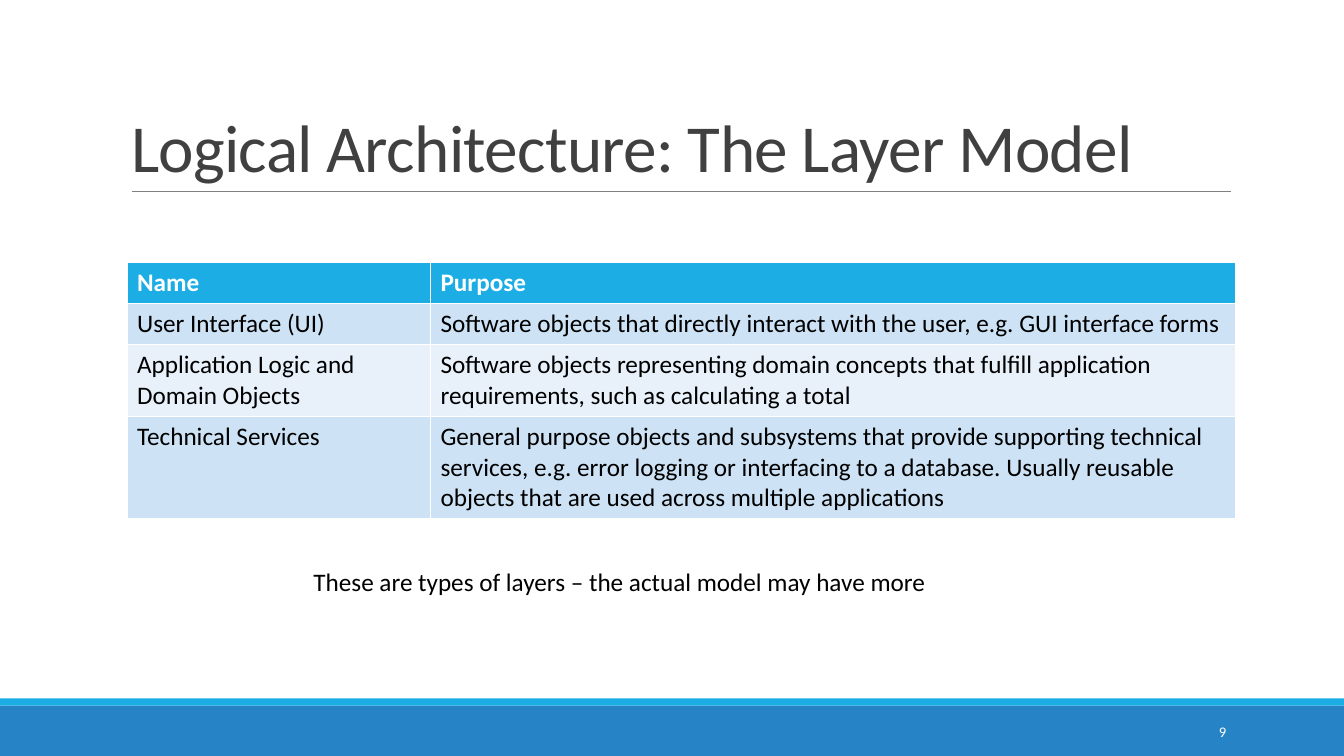
from lxml.etree import SubElement
from pptx import Presentation
from pptx.dml.color import RGBColor
from pptx.enum.shapes import MSO_CONNECTOR, MSO_SHAPE
from pptx.enum.text import MSO_ANCHOR, MSO_AUTO_SIZE, PP_ALIGN
from pptx.oxml.ns import qn
from pptx.util import Inches, Pt

WHITE = RGBColor(0xFF, 0xFF, 0xFF)
BLACK = RGBColor(0, 0, 0)
CHARCOAL = RGBColor(0x40, 0x40, 0x40)
GREY = RGBColor(0x80, 0x80, 0x80)
BLUE = RGBColor(0x26, 0x83, 0xC6)
CYAN = RGBColor(0x1C, 0xAD, 0xE4)
BAND_DARK = RGBColor(0xCD, 0xE3, 0xF5)
BAND_LIGHT = RGBColor(0xE8, 0xF1, 0xFA)

WIDTH, HEIGHT = 13.33, 7.5


def write(frame, text, size=18, color=BLACK, bold=False, align=PP_ALIGN.LEFT,
          anchor=MSO_ANCHOR.TOP, wrap=True):
    frame.word_wrap = wrap
    frame.vertical_anchor = anchor
    paragraph = frame.paragraphs[0]
    paragraph.alignment = align
    run = paragraph.add_run()
    run.text = text
    run.font.name = "Calibri"
    run.font.size = Pt(size)
    run.font.bold = bold
    run.font.color.rgb = color
    return run


prs = Presentation()
prs.slide_width, prs.slide_height = Inches(WIDTH), Inches(HEIGHT)
slide = prs.slides.add_slide(prs.slide_layouts[5])
shapes = slide.shapes

# Footer bands
for top, height, color in [(7, 0.5, BLUE), (6.93, 0.07, CYAN)]:
    band = shapes.add_shape(MSO_SHAPE.RECTANGLE, 0, Inches(top),
                            Inches(WIDTH), Inches(height))
    band.shadow.inherit = False
    band.fill.solid()
    band.fill.fore_color.rgb = color
    band.line.fill.background()

# Title with its rule
title = shapes.title
title.left, title.top = Inches(1.2), Inches(0.31)
title.width, title.height = Inches(11), Inches(1.59)
heading = write(title.text_frame, "Logical Architecture: The Layer Model", size=48,
                color=CHARCOAL, anchor=MSO_ANCHOR.BOTTOM)
heading.font._element.set("spc", "-50")
title.text_frame.auto_size = MSO_AUTO_SIZE.NONE
title.text_frame.paragraphs[0].line_spacing = 0.85

rule = shapes.add_connector(MSO_CONNECTOR.STRAIGHT, Inches(1.31), Inches(1.9),
                            Inches(12.21), Inches(1.9))
rule.line.color.rgb = GREY
rule.line.width = Pt(0.5)
SubElement(rule._element.spPr, qn("a:effectLst"))

# Layer table
layers = [
    ("Name", "Purpose"),
    ("User Interface (UI)",
     "Software objects that directly interact with the user, e.g. GUI interface forms"),
    ("Application Logic and Domain Objects",
     "Software objects representing domain concepts that fulfill application "
     "requirements, such as calculating a total"),
    ("Technical Services",
     "General purpose objects and subsystems that provide supporting technical "
     "services, e.g. error logging or interfacing to a database. Usually reusable "
     "objects that are used across multiple applications"),
]
row_heights = [0.41, 0.41, 0.7, 1.01]
column_widths = [3.01, 7.99]
layer_table = shapes.add_table(len(layers), len(column_widths), Inches(1.26), Inches(2.6),
                               Inches(sum(column_widths)), Inches(sum(row_heights))).table
for column, width in zip(layer_table.columns, column_widths):
    column.width = Inches(width)
for index, (row, height, layer) in enumerate(zip(layer_table.rows, row_heights, layers)):
    row.height = Inches(height)
    header = index == 0
    fill = CYAN if header else BAND_DARK if index % 2 else BAND_LIGHT
    for cell, text in zip(row.cells, layer):
        cell.fill.solid()
        cell.fill.fore_color.rgb = fill
        write(cell.text_frame, text, color=WHITE if header else BLACK, bold=header)

# Remark below the table
remark = shapes.add_textbox(Inches(3.01), Inches(5.57), Inches(6.35), Inches(0.4))
write(remark.text_frame, "These are types of layers – the actual model may have more",
      wrap=False)
remark.text_frame.auto_size = MSO_AUTO_SIZE.SHAPE_TO_FIT_TEXT

# Page number
page_number = shapes.add_textbox(Inches(10.83), Inches(7.06), Inches(1.43), Inches(0.4))
write(page_number.text_frame, "9", size=10.5, color=WHITE, align=PP_ALIGN.RIGHT,
      anchor=MSO_ANCHOR.MIDDLE)

prs.save("out.pptx")
